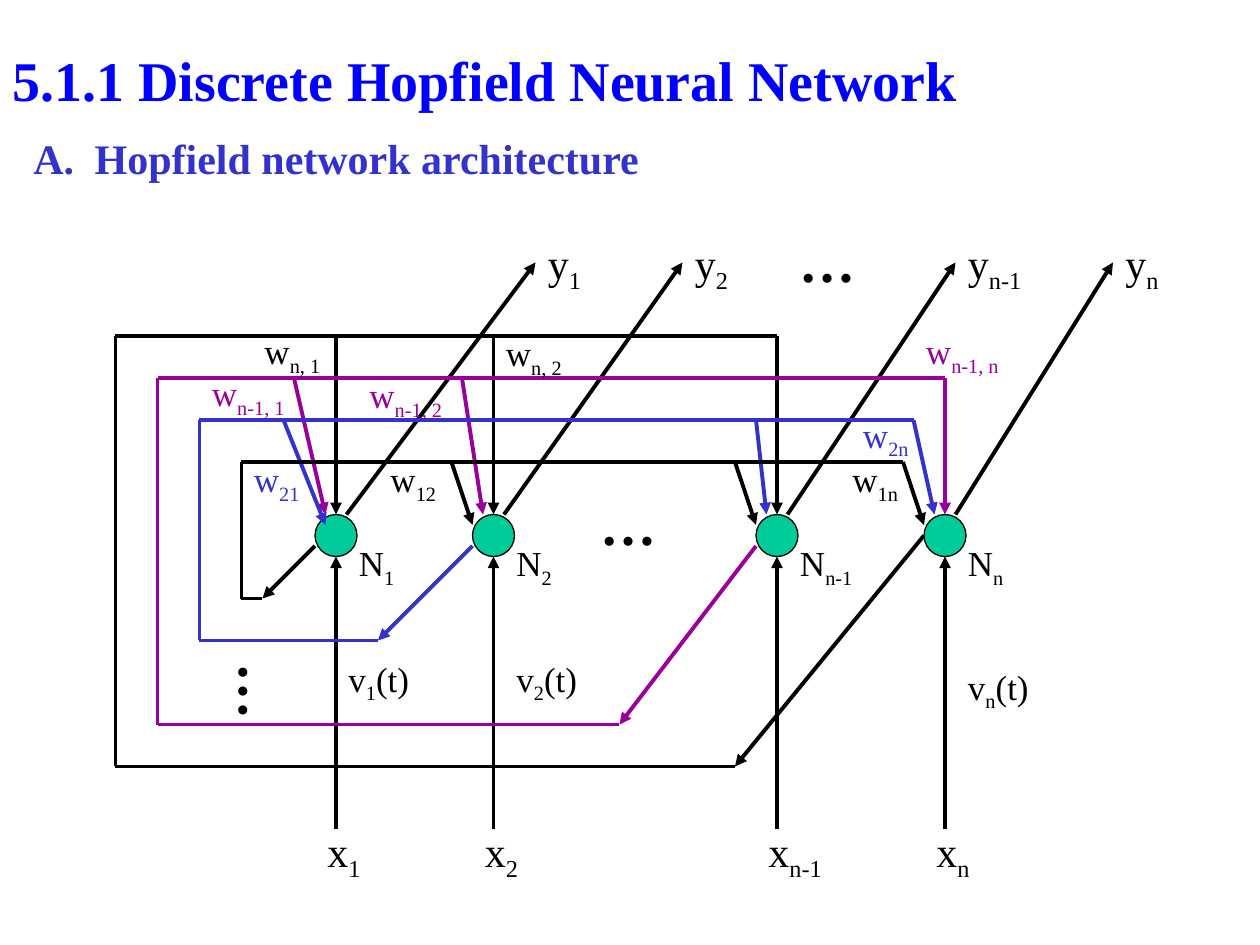
from dataclasses import dataclass

from lxml import etree
from pptx import Presentation
from pptx.dml.color import RGBColor
from pptx.enum.shapes import MSO_CONNECTOR, MSO_SHAPE
from pptx.enum.text import MSO_ANCHOR, MSO_AUTO_SIZE
from pptx.oxml.ns import qn
from pptx.util import Pt

STRAIGHT = MSO_CONNECTOR.STRAIGHT
OVAL = MSO_SHAPE.OVAL
MIDDLE = MSO_ANCHOR.MIDDLE
FIT = MSO_AUTO_SIZE.SHAPE_TO_FIT_TEXT


@dataclass(frozen=True)
class Theme:
    font: str = "Times New Roman"
    black: str = "000000"
    title: str = "0000FF"
    blue: str = "3333CC"
    purple: str = "990099"
    node: str = "00CC99"
    large: int = 32
    medium: int = 24
    small: int = 20
    line: float = 2.25
    outline: float = 0.75


T = Theme()
NODES = [(126, "1"), (216, "2"), (378, "n-1"), (474, "n")]
NODE_TOP, NODE_SIZE = 168, 24
NODE_BOTTOM = NODE_TOP + NODE_SIZE


def add_text(shapes, box, parts, size, color=T.black, bold=False):
    tb = shapes.add_textbox(*map(Pt, box))
    tf = tb.text_frame
    tf.word_wrap = True
    tf.auto_size = FIT
    p = tf.paragraphs[0]
    p.space_before = Pt(size * 0.625)
    for i, text in enumerate(parts):
        r = p.add_run()
        r.text = text
        r.font.name = T.font
        r.font.size = Pt(size)
        r.font.bold = bold
        r.font.color.rgb = RGBColor.from_string(color)
        if i == 1:
            r._r.get_or_add_rPr().set("baseline", "-25000")
    return tb


def add_line(shapes, start, end, color=T.black, arrow=False):
    c = shapes.add_connector(STRAIGHT, *map(Pt, (*start, *end)))
    c.line.color.rgb = RGBColor.from_string(color)
    c.line.width = Pt(T.line)
    if arrow:
        etree.SubElement(c.line._get_or_add_ln(), qn("a:tailEnd"), type="triangle")
    etree.SubElement(c._element.spPr, qn("a:effectLst"))


def add_title(s, box):
    tb = add_text(s.shapes, box, ["5.1.1 Discrete Hopfield Neural Network"],
                  T.large, T.title, True)
    tf = tb.text_frame
    tf.auto_size = MSO_AUTO_SIZE.NONE
    tf.vertical_anchor = MIDDLE
    tf.paragraphs[0].space_before = Pt(0)


def add_heading(s, box):
    tb = add_text(s.shapes, box, ["A.\tHopfield network architecture"],
                  T.medium, T.blue, True)
    pPr = tb.text_frame.paragraphs[0]._p.get_or_add_pPr()
    pPr.set("marL", str(Pt(35)))
    pPr.set("indent", str(-Pt(35)))


def add_neurons(shapes, box):
    x, y = box[:2]
    tips = [240, 324, 480, 570]
    for (cx, name), tip in zip(NODES, tips):
        sp = shapes.add_shape(OVAL, Pt(x + cx - NODE_SIZE / 2), Pt(y + NODE_TOP),
                              Pt(NODE_SIZE), Pt(NODE_SIZE))
        sp.shadow.inherit = False
        sp.fill.solid()
        sp.fill.fore_color.rgb = RGBColor.from_string(T.node)
        sp.line.color.rgb = RGBColor.from_string(T.black)
        sp.line.width = Pt(T.outline)
        add_line(shapes, (x + cx, y + 348), (x + cx, y + NODE_BOTTOM), arrow=True)
        add_line(shapes, (x + cx + 6, y + NODE_TOP), (x + tip, y + 24), arrow=True)
        wide = name == "n-1"
        w = 54 if wide else 42
        add_text(shapes, (x + cx + 6, y + 180, w, 34.5), ["N", name], T.small)
        add_text(shapes, (x + cx - 12, y + 342, w, 40), ["x", name], T.medium)
        add_text(shapes, (x + tip, y + 6, 54 if wide else 36, 40),
                 ["y", name], T.medium)


def add_feedback(shapes, box):
    x, y = box[:2]
    buses = [
        (T.black, (462, 180), 354, 312,
         [(126, 126, 168), (216, 216, 168), (378, 378, 168)]),
        (T.purple, (366, 186), 288, 288,
         [(102, 120, 168), (198, 210, 168), (474, 474, 168)]),
        (T.blue, (204, 186), 150, 240,
         [(96, 120, 174), (366, 372, 168), (456, 468, 168)]),
        (T.black, (114, 186), 84, 216,
         [(192, 204, 174), (354, 366, 174), (450, 462, 174)]),
    ]
    for i, (color, source, turn, low, drops) in enumerate(buses):
        left, top = x + 24 * i, y + 66 + 24 * i
        right = x + drops[-1][0]
        add_line(shapes, (left, top), (right, top), color)
        add_line(shapes, (left, top), (left, y + low), color)
        add_line(shapes, (left, y + low), (x + turn, y + low), color)
        add_line(shapes, (x + source[0], y + source[1]), (x + turn, y + low),
                 color, True)
        for x1, x2, y2 in drops:
            add_line(shapes, (x + x1, top), (x + x2, y + y2), color, True)


def add_labels(shapes, box):
    x, y = box[:2]
    weights = [
        ("12", 150, 132, 48, T.black), ("1n", 414, 132, 48, T.black),
        ("21", 72, 132, 48, T.blue), ("2n", 420, 106.5, 48, T.blue),
        ("n, 1", 78, 59, 60, T.black), ("n, 2", 216, 60, 54, T.black),
        ("n-1, 1", 48, 83, 66, T.purple), ("n-1, 2", 138, 84, 66, T.purple),
        ("n-1, n", 456, 59, 60, T.purple),
    ]
    for sub, dx, dy, w, color in weights:
        add_text(shapes, (x + dx, y + dy, w, 34.5), ["w", sub], T.small, color)
    for sub, dx, dy in [("1", 126, 246), ("2", 222, 246), ("n", 480, 250.5)]:
        add_text(shapes, (x + dx, y + dy, 60, 34.5), ["v", sub, "(t)"], T.small)
    for dx, dy, w in [(384, 0, 48), (270, 150, 54)]:
        add_text(shapes, (x + dx, y + dy, w, 46), ["…"], T.large, bold=True)
    tf = add_text(shapes, (x + 54, y + 246, 52.5, 36), ["…"],
                  T.large, bold=True).text_frame
    tf.margin_left = tf.margin_right = Pt(3.6)
    tf.margin_top = tf.margin_bottom = Pt(7.2)
    tf._txBody.bodyPr.set("vert", "eaVert")


def add_network(s, box):
    shapes = s.shapes.add_group_shape().shapes
    add_neurons(shapes, box)
    add_feedback(shapes, box)
    add_labels(shapes, box)


def main():
    prs = Presentation()
    prs.slide_width, prs.slide_height = Pt(720), Pt(540)
    s = prs.slides.add_slide(prs.slide_layouts[6])
    add_title(s, (0, 0, 576, 90))
    add_network(s, (66, 126, 606, 382))
    add_heading(s, (12, 72, 408, 36))
    prs.save("out.pptx")


if __name__ == "__main__":
    main()
